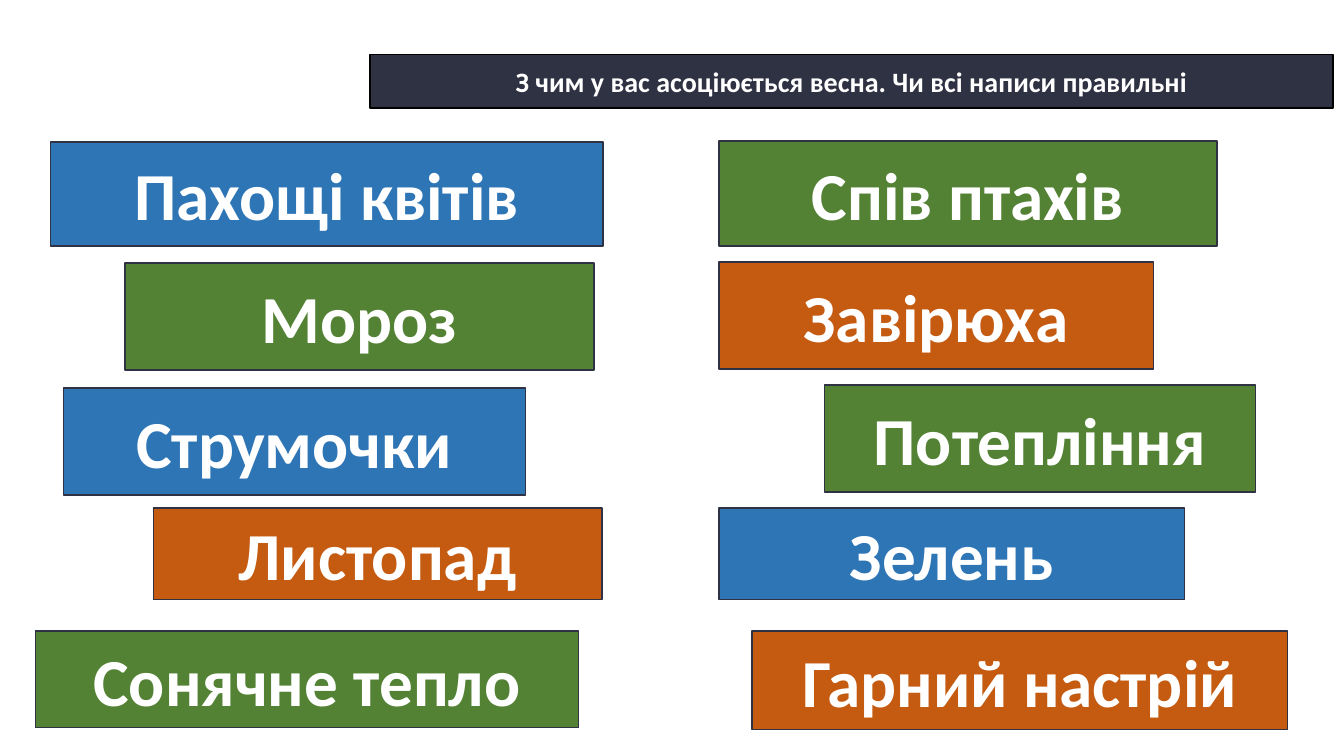
"""Build the slide of spring associations: a heading bar and two columns of word cards."""
from pptx import Presentation
from pptx.dml.color import RGBColor
from pptx.enum.shapes import MSO_SHAPE as Shape
from pptx.enum.text import MSO_ANCHOR as Anchor, MSO_AUTO_SIZE as AutoSize, PP_ALIGN as Align
from pptx.util import Inches, Pt

HEADING = "З чим у вас асоціюється весна. Чи всі написи правильні"
HEADING_BOX = (3.67, 0.54, 9.55, 0.53)
DARK, BLACK, WHITE = "2F3242", "000000", "FFFFFF"
BLUE, GREEN, ORANGE = "2E75B6", "548235", "C55A11"
CARDS = [
    ("Пахощі квітів", BLUE, (0.5, 1.41, 5.48, 1.03)),
    ("Мороз", GREEN, (1.24, 2.61, 4.65, 1.06)),
    ("Струмочки", BLUE, (0.63, 3.85, 4.58, 1.06)),
    ("Листопад", ORANGE, (1.52, 5.04, 4.45, 0.91)),
    ("Сонячне тепло", GREEN, (0.35, 6.26, 5.39, 0.96)),
    ("Спів птахів", GREEN, (7.13, 1.4, 4.94, 1.04)),
    ("Завірюха", ORANGE, (7.13, 2.6, 4.31, 1.06)),
    ("Потепління", GREEN, (8.18, 3.82, 4.27, 1.06)),
    ("Зелень", BLUE, (7.13, 5.04, 4.62, 0.91)),
    ("Гарний настрій", ORANGE, (7.46, 6.26, 5.31, 0.98)),
]


def color(value):
    return RGBColor.from_string(value)


def format_box(shape, text, fill, line, size):
    shape.fill.solid()
    shape.fill.fore_color.rgb = color(fill)
    shape.line.color.rgb = color(line)
    shape.line.width = Pt(1)
    frame = shape.text_frame
    frame.text = text
    frame.word_wrap = True
    frame.auto_size = AutoSize.NONE
    frame.vertical_anchor = Anchor.MIDDLE
    paragraph = frame.paragraphs[0]
    paragraph.alignment = Align.CENTER
    font = paragraph.runs[0].font
    font.name = "Calibri"
    font.size = Pt(size)
    font.bold = True
    font.color.rgb = color(WHITE)


def main():
    presentation = Presentation()
    presentation.slide_width = Inches(13.33)
    presentation.slide_height = Inches(7.5)
    slide = presentation.slides.add_slide(presentation.slide_layouts[5])

    title = slide.shapes.title
    title.left, title.top, title.width, title.height = map(Inches, HEADING_BOX)
    format_box(title, HEADING, DARK, BLACK, 20)

    for text, fill, box in CARDS:
        card = slide.shapes.add_shape(Shape.RECTANGLE, *map(Inches, box))
        card.shadow.inherit = False
        format_box(card, text, fill, DARK, 48)

    presentation.save("out.pptx")


if __name__ == "__main__":
    main()
